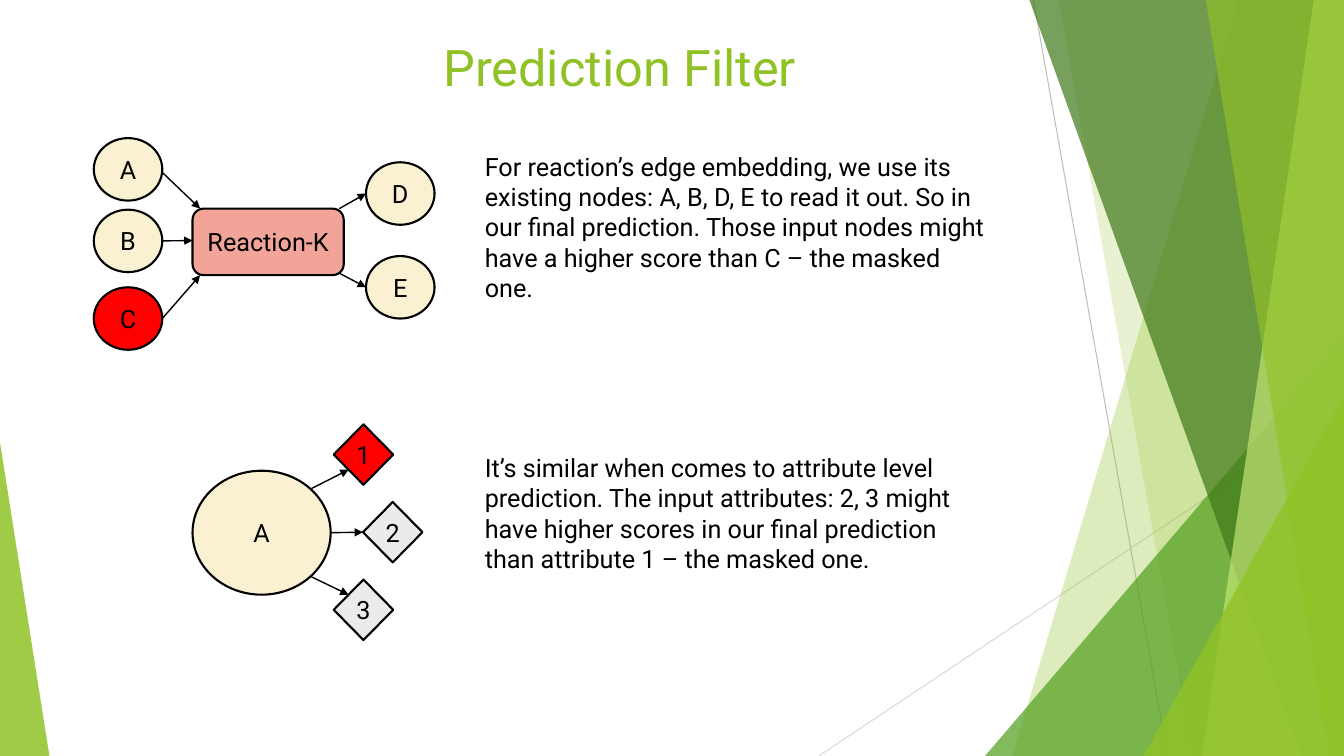
import pptx
import pptx.util
import pptx.dml.color
import pptx.enum.shapes
import pptx.enum.text
import pptx.oxml
import pptx.oxml.ns

W, H = 13.33, 7.5
THEME = {
    "font": "Roboto", "head": 36, "body": 18,
    "ink": "000000", "lime": "90C226", "leaf": "54A021", "moss": "3F7819",
    "pale": "C0E474", "cream": "FAF1D2", "rose": "F2A499", "red": "FF0000",
    "grey": "EBEBEB", "rule": "BFBFBF", "faint": "D9D9D9",
    "edge": 1.5, "arrow": 1, "hair": 0.75,
}

# Content: text as (words, left, top, width, height, size, colour)
TEXTS = [
    ("Prediction Filter", 4.3, 0.31, 6.85, 1.26, "head", "lime"),
    ("For reaction’s edge embedding, we use its existing nodes: A, B, D, E "
     "to read it out. So in our final prediction. Those input nodes might "
     "have a higher score than C – the masked one.",
     4.71, 1.45, 5.21, 1.62, "body", "ink"),
    ("It’s similar when comes to attribute level prediction. The input "
     "attributes: 2, 3 might have higher scores in our final prediction "
     "than attribute 1 – the masked one.",
     4.71, 4.44, 5.21, 1.31, "body", "ink"),
]

# Kinds of node: (preset, width, height)
KINDS = {
    "node": ("OVAL", 0.68, 0.62),
    "hub": ("OVAL", 1.37, 1.23),
    "box": ("ROUNDED_RECTANGLE", 1.5, 0.66),
    "gem": ("DIAMOND", 0.59, 0.6),
}
IN, MID, OUT = 0.93, 1.91, 3.63
GEM, TOP, STEP = 3.31, 4.21, 0.77
# Nodes: key -> (label, kind, left, top, fill)
NODES = {
    "K": ("Reaction-K", "box", MID, 2.07, "rose"),
    "A": ("A", "node", IN, 1.37, "cream"),
    "B": ("B", "node", IN, 2.08, "cream"),
    "C": ("C", "node", IN, 2.85, "red"),
    "D": ("D", "node", OUT, 1.61, "cream"),
    "E": ("E", "node", OUT, 2.54, "cream"),
    "hub": ("A", "hub", MID, 4.67, "cream"),
    "1": ("1", "gem", GEM, TOP, "red"),
    "2": ("2", "gem", GEM + 0.29, TOP + STEP, "grey"),
    "3": ("3", "gem", GEM, TOP + 2 * STEP, "grey"),
}
# Arrows: (node, share across, share down) at each end
LINKS = [
    (("A", 1, 0.55), ("K", 0.05, 0)),
    (("B", 1, 0.5), ("K", 0, 0.48)),
    (("C", 1, 0.5), ("K", 0.05, 1)),
    (("K", 0.97, 0), ("D", 0, 0.5)),
    (("K", 0.97, 0.97), ("E", 0, 0.5)),
    (("hub", 0.85, 0.15), ("1", 0.25, 0.75)),
    (("hub", 1, 0.5), ("2", 0, 0.5)),
    (("hub", 0.85, 0.85), ("3", 0.25, 0.25)),
]

# Backdrop: hairlines, then bands and wedges from back to front
RULES = [((10.25, 0), (11.58, H), "rule"), ((W, 4.03), (8.12, H), "faint")]
# Band: (top left, bottom left, colour, opacity), reaching the right edge
# Wedge: (left, top, width, apex, colour, opacity), reaching the bottom
DECOR = [
    ("band", 12.28, 10.04, "lime", 30),
    ("band", 10.5, 11.83, "lime", 20),
    ("wedge", 9.77, 3.33, W - 9.77, 1, "leaf", 72),
    ("band", 10.21, 12.91, "moss", 70),
    ("band", 13.03, 11.92, "pale", 70),
    ("band", 11.96, 13.18, "lime", 65),
    ("wedge", 11.34, 3.93, W - 11.34, 1, "lime", 80),
    ("wedge", 0, 4.39, 0.49, 0, "lime", 85),
]

deck = pptx.Presentation()
inch = pptx.util.Inches
deck.slide_width, deck.slide_height = inch(W), inch(H)
parts = deck.slides.add_slide(deck.slide_layouts[6]).shapes
MSO = pptx.enum.shapes.MSO_SHAPE


def tint(name):
    return pptx.dml.color.RGBColor.from_string(THEME[name])


def add(parent, tag, **attrs):
    item = pptx.oxml.parse_xml(f"<a:{tag} {pptx.oxml.ns.nsdecls('a')}/>")
    for key, val in attrs.items():
        item.set(key, val)
    parent.append(item)


def paint(shape, fill, alpha=100, edge=False):
    shape.shadow.inherit = False
    shape.fill.solid()
    shape.fill.fore_color.rgb = tint(fill)
    if alpha < 100:
        color = shape.fill._xPr.find(".//" + pptx.oxml.ns.qn("a:srgbClr"))
        add(color, "alpha", val=str(alpha * 1000))
    if edge:
        shape.line.color.rgb = tint("ink")
        shape.line.width = pptx.util.Pt(THEME["edge"])
    else:
        shape.line.fill.background()


def write(shape, words, size, color, align=None, **form):
    frame = shape.text_frame
    for key, val in form.items():
        setattr(frame, key, val)
    para = frame.paragraphs[0]
    para.alignment = align
    run = para.add_run()
    run.text = words
    run.font.color.rgb = tint(color)
    look = {"name": THEME["font"], "size": pptx.util.Pt(THEME[size])}
    for key, val in look.items():
        setattr(run.font, key, val)


def draw(start, end, color, width, head=False):
    line = parts.add_connector(pptx.enum.shapes.MSO_CONNECTOR.STRAIGHT,
                               *map(inch, start + end))
    line.line.color.rgb = tint(color)
    line.line.width = pptx.util.Pt(THEME[width])
    if head:
        add(line.line._get_or_add_ln(), "tailEnd", type="triangle")
    add(line._element.spPr, "effectLst")


def spot(key, across, down):
    _, kind, left, top, _ = NODES[key]
    _, wide, tall = KINDS[kind]
    return left + across * wide, top + down * tall


# Backdrop
for start, end, color in RULES:
    draw(start, end, color, "hair")
for kind, *data, color, alpha in DECOR:
    if kind == "band":
        top, base = data
        pen = parts.build_freeform(inch(top), 0)
        pen.add_line_segments([(inch(x), inch(y)) for x, y in
                               ((W, 0), (W, H), (base, H))])
        shape = pen.convert_to_shape()
    else:
        left, top, wide, apex = data
        shape = parts.add_shape(MSO.ISOSCELES_TRIANGLE,
                                *map(inch, (left, top, wide, H - top)))
        shape.adjustments[0] = apex
    paint(shape, color, alpha)

# Title and notes beside the graphs
for words, *place, size, color in TEXTS:
    write(parts.add_textbox(*map(inch, place)), words, size, color,
          word_wrap=True)

# Graph nodes
for label, kind, left, top, fill in NODES.values():
    preset, wide, tall = KINDS[kind]
    shape = parts.add_shape(getattr(MSO, preset),
                            *map(inch, (left, top, wide, tall)))
    paint(shape, fill, edge=True)
    write(shape, label, "body", "ink", pptx.enum.text.PP_ALIGN.CENTER,
          vertical_anchor=pptx.enum.text.MSO_ANCHOR.MIDDLE, word_wrap=False,
          margin_left=0, margin_right=0, margin_top=0, margin_bottom=0)

# Graph arrows
for start, end in LINKS:
    draw(spot(*start), spot(*end), "ink", "arrow", head=True)

deck.save("out.pptx")
